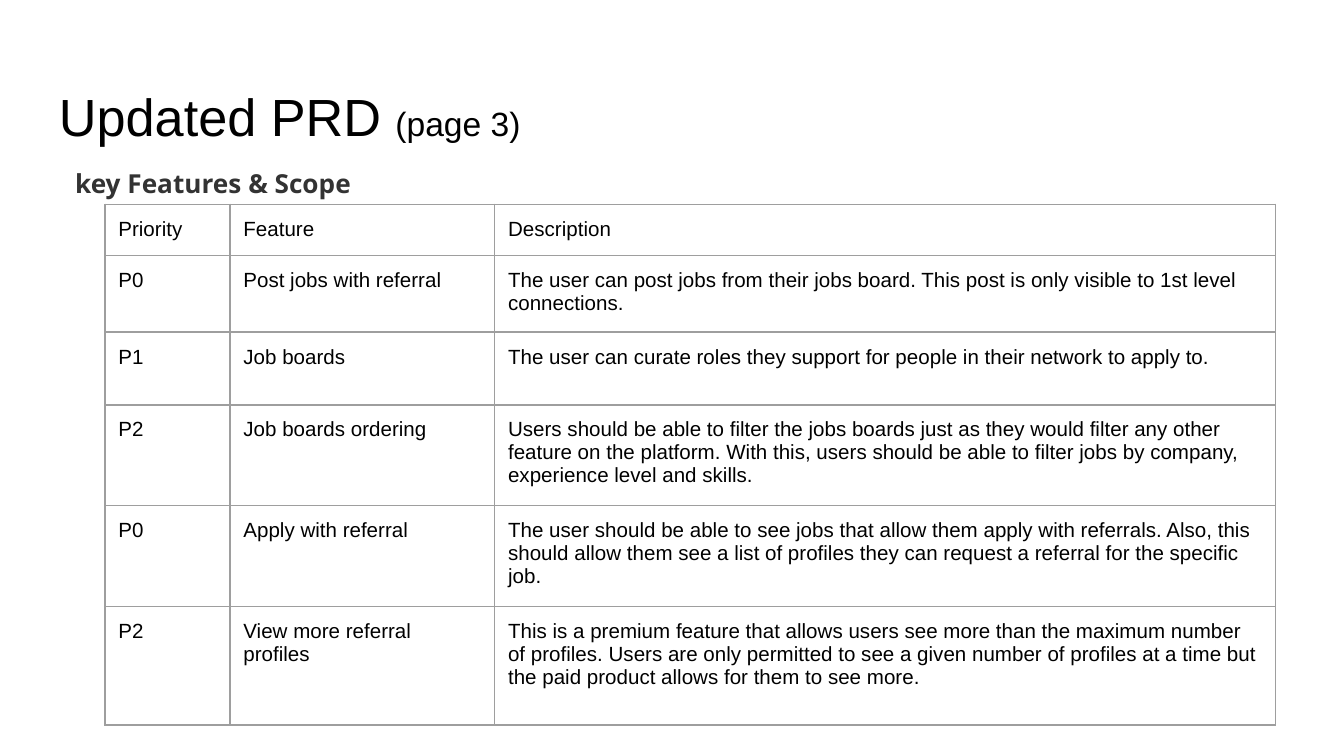
from lxml.etree import SubElement as Sub
from pptx import Presentation
from pptx.dml.color import RGBColor as RGB
from pptx.oxml.ns import qn
from pptx.util import Pt

COLORS = {"text": "000000", "head": "333333", "line": "9E9E9E"}
PAD = 7.2
COLS = (67, 141.8, 418.3)
ROWS = (
    (26.4, "Priority", "Feature", "Description"),
    (39.1, "P0", "Post jobs with referral",
     "The user can post jobs from their jobs board. This post is only "
     "visible to 1st level connections."),
    (39.1, "P1", "Job boards",
     "The user can curate roles they support for people in their network "
     "to apply to."),
    (51, "P2", "Job boards ordering",
     "Users should be able to filter the jobs boards just as they would "
     "filter any other feature on the platform. With this, users should be "
     "able to filter jobs by company, experience level and skills."),
    (51.2, "P0", "Apply with referral",
     "The user should be able to see jobs that allow them apply with "
     "referrals. Also, this should allow them see a list of profiles they "
     "can request a referral for the specific job."),
    (63.4, "P2", "View more referral profiles",
     "This is a premium feature that allows users see more than the maximum "
     "number of profiles. Users are only permitted to see a given number of "
     "profiles at a time but the paid product allows for them to see more."),
)


def put(para, text, size=11, font="Arial", color="text", bold=False):
    """Add one formatted run to a paragraph."""
    run = para.add_run()
    run.text = text
    run.font.size = Pt(size)
    run.font.name = font
    run.font.bold = bold
    run.font.color.rgb = RGB.from_string(COLORS[color])


def pad(item, top=PAD):
    item.margin_left = item.margin_right = item.margin_bottom = Pt(PAD)
    item.margin_top = Pt(top)


def add_box(slide, left, top, width, height, inset=PAD):
    """Add a wrapping text box and return its first paragraph."""
    frame = slide.shapes.add_textbox(
        Pt(left), Pt(top), Pt(width), Pt(height)).text_frame
    frame.word_wrap = True
    pad(frame, inset)
    return frame.paragraphs[0]


def add_edges(cell):
    props = cell._tc.get_or_add_tcPr()
    for i, side in enumerate(("lnL", "lnR", "lnT", "lnB")):
        line = props.makeelement(qn(f"a:{side}"), {"w": str(Pt(0.75))})
        fill = Sub(line, qn("a:solidFill"))
        Sub(fill, qn("a:srgbClr"), val=COLORS["line"])
        props.insert(i, line)


def add_grid(slide, left, top):
    high = sum(row[0] for row in ROWS)
    table = slide.shapes.add_table(
        len(ROWS), len(COLS), Pt(left), Pt(top), Pt(sum(COLS)), Pt(high)).table
    table.first_row = table.horz_banding = False
    for col, width in zip(table.columns, COLS):
        col.width = Pt(width)
    for row, (height, *texts) in zip(table.rows, ROWS):
        row.height = Pt(height)
        for cell, text in zip(row.cells, texts):
            pad(cell)
            cell.fill.background()
            put(cell.text_frame.paragraphs[0], text)
            add_edges(cell)


def main():
    deck = Presentation()
    deck.slide_width, deck.slide_height = Pt(720), Pt(405)
    slide = deck.slides.add_slide(deck.slide_layouts[6])

    title = add_box(slide, 24.5, 35.3, 671, 45.4, inset=10)
    put(title, "Updated PRD ", size=28)
    put(title, "(page 3)", size=18)

    add_grid(slide, 56.2, 109.4)

    head = add_box(slide, 24.5, 79.9, 236.2, 31.7)
    head.line_spacing = 1.15
    props = head._p.get_or_add_pPr()
    props.set("marL", str(Pt(8.64)))
    props.set("indent", "0")
    put(head, "key Features & Scope", size=14, font="Open Sans",
        color="head", bold=True)

    deck.save("out.pptx")


if __name__ == "__main__":
    main()
